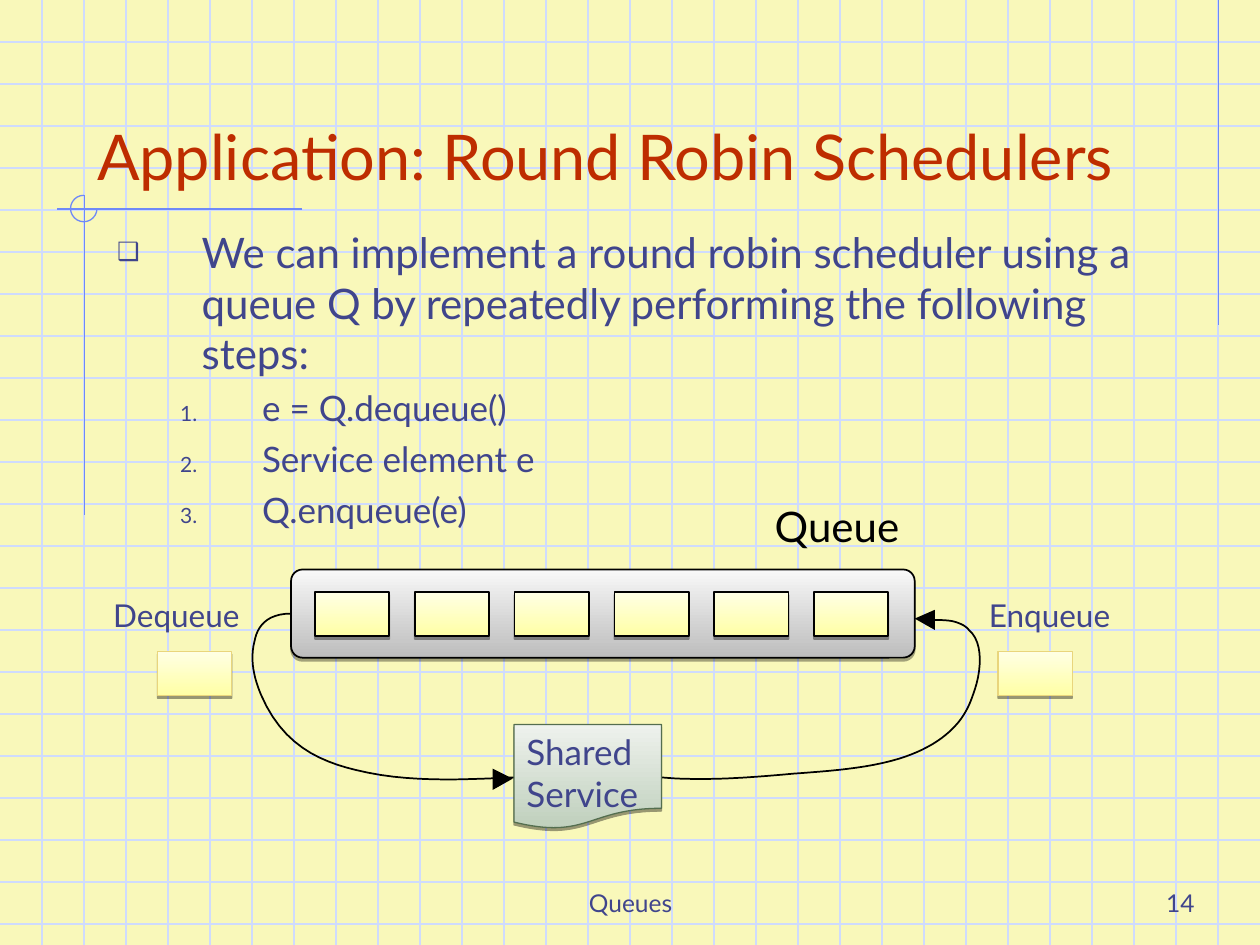
from lxml import etree
from pptx import Presentation
from pptx import util as u
from pptx.dml.color import RGBColor
from pptx.enum import shapes, text
from pptx.oxml.ns import qn

COLORS = {
    "paper": "F9F8BA", "grid": "CFDBFD", "accent": "6F89F7",
    "title": "BE2D00", "text": "40458C", "black": "000000",
    "card_line": "E9D57C", "service_line": "546E4F",
}
GRADIENTS = {
    "queue": ("BDBDBD", "F8F8F8"),
    "card": ("FFFFA5", "FFFFE4"),
    "service": ("BFCFBC", "EEF2ED"),
}
FONT = "Lato"
CARD_W, CARD_H = 0.59, 0.35
STEPS = ["e = Q.dequeue()", "Service element e", "Q.enqueue(e)"]
DEQUEUE_PATH = [
    (2.31, 4.87), (2.11, 4.87), (2.04, 4.98), (2.02, 5.09),
    (1.98, 5.24), (2.02, 5.39), (2.07, 5.51),
    (2.24, 5.91), (2.53, 6.04), (2.82, 6.11),
    (3.22, 6.21), (3.63, 6.19), (4.08, 6.17),
]
ENQUEUE_PATH = [
    (5.25, 6.17), (5.37, 6.18), (5.4, 6.18), (5.42, 6.18),
    (5.69, 6.19), (5.97, 6.17), (6.3, 6.14),
    (6.57, 6.12), (6.88, 6.1), (7.14, 6.02),
    (7.33, 5.96), (7.49, 5.87), (7.6, 5.74),
    (7.65, 5.68), (7.69, 5.61), (7.72, 5.52),
    (7.79, 5.34), (7.81, 5.1), (7.69, 5),
    (7.66, 4.96), (7.6, 4.94), (7.56, 4.93),
    (7.5, 4.92), (7.45, 4.92), (7.37, 4.92),
]


def rgb(name):
    return RGBColor.from_string(COLORS[name])


def inches(*values):
    return [u.Inches(v) for v in values]


def set_line(line, color, width):
    line.color.rgb = rgb(color)
    line.width = u.Pt(width)


def add_line(group, x1, y1, x2, y2, color):
    line = group.shapes.add_connector(
        shapes.MSO_CONNECTOR.STRAIGHT, *inches(x1, y1, x2, y2))
    set_line(line.line, color, 0.75)
    etree.SubElement(line.element.spPr, qn("a:effectLst"))


def add_grid(s):
    group = s.shapes.add_group_shape()
    for i in range(1, 23):
        add_line(group, 0, i / 3, 10, i / 3, "grid")
    for i in range(1, 30):
        add_line(group, i / 3, 0, i / 3, 7.5, "grid")
    add_line(group, 9.67, 0, 9.67, 2.58, "accent")
    add_line(group, 2.4, 1.66, 0.45, 1.66, "accent")
    add_line(group, 0.67, 1.55, 0.67, 4.09, "accent")
    arc = group.shapes.add_shape(
        shapes.MSO_SHAPE.ARC, *inches(0.56, 1.55, 0.21, 0.21))
    arc.adjustments[0] = 0
    arc.adjustments[1] = 162
    arc.fill.background()
    arc.shadow.inherit = False
    set_line(arc.line, "accent", 0.75)


def add_run(p, content, size, color):
    r = p.add_run()
    r.text = content
    formats = {"name": FONT, "size": u.Pt(size), "bold": False}
    for name, value in formats.items():
        setattr(r.font, name, value)
    r.font.color.rgb = rgb(color)


def set_frame(tf, **formats):
    for name, value in formats.items():
        setattr(tf, name, value)


def add_label(s, box, content, size, color, align="LEFT", **formats):
    sp = s.shapes.add_textbox(*inches(*box))
    set_frame(sp.text_frame, **{"word_wrap": True, **formats})
    p = sp.text_frame.paragraphs[0]
    p.alignment = text.PP_ALIGN[align]
    add_run(p, content, size, color)


def place(sp, box):
    sp.element.getparent().append(sp.element)
    sp.left, sp.top, sp.width, sp.height = inches(*box)


def add_title(s):
    title = s.shapes.title
    place(title, (0.67, 0.33, 8.5, 1.25))
    set_frame(title.text_frame, vertical_anchor=text.MSO_ANCHOR.BOTTOM,
              auto_size=text.MSO_AUTO_SIZE.NONE)
    p = title.text_frame.paragraphs[0]
    p.alignment = text.PP_ALIGN.LEFT
    add_run(p, "Application: Round Robin Schedulers", 36, "title")


def set_bullet(p, margin, indent, tag, **attributes):
    pPr = p._p.get_or_add_pPr()
    pPr.set("marL", str(u.Inches(margin)))
    pPr.set("indent", str(u.Inches(indent)))
    color = etree.SubElement(pPr, qn("a:buClr"))
    etree.SubElement(color, qn("a:srgbClr"), val=COLORS["text"])
    etree.SubElement(pPr, qn("a:buSzPct"), val="60000")
    etree.SubElement(pPr, qn(tag), **attributes)


def add_body(s):
    body = s.placeholders[1]
    place(body, (0.83, 1.75, 8.75, 2.67))
    tf = body.text_frame
    tf.auto_size = text.MSO_AUTO_SIZE.NONE
    p = tf.paragraphs[0]
    set_bullet(p, 0.67, -0.67, "a:buChar", char="❑")
    p.space_before = u.Pt(0)
    add_run(p, "We can implement a round robin scheduler using a queue Q "
               "by repeatedly performing the following steps:", 24, "text")
    for step in STEPS:
        p = tf.add_paragraph()
        p.level = 1
        set_bullet(p, 1.15, -0.65, "a:buAutoNum", type="arabicPeriod")
        p.space_before = u.Pt(5)
        add_run(p, step, 20, "text")


def add_block(s, kind, box, gradient, line, width, shadow=(38, 1.6)):
    sp = s.shapes.add_shape(kind, *inches(*box))
    sp.fill.gradient()
    sp.fill.gradient_angle = 90
    for stop, color in zip(sp.fill.gradient_stops, GRADIENTS[gradient]):
        stop.color.rgb = RGBColor.from_string(color)
    set_line(sp.line, line, width)
    sp.shadow.inherit = False
    alpha, distance = shadow
    effects = sp.element.spPr.find(qn("a:effectLst"))
    outer = etree.SubElement(effects, qn("a:outerShdw"), blurRad="0",
                             dist=str(u.Pt(distance)), dir="5400000",
                             rotWithShape="0")
    color = etree.SubElement(outer, qn("a:srgbClr"), val=COLORS["black"])
    etree.SubElement(color, qn("a:alpha"), val=str(alpha * 1000))
    return sp


def add_card(s, x, y, line, width):
    add_block(s, shapes.MSO_SHAPE.RECTANGLE, (x, y, CARD_W, CARD_H),
              "card", line, width)


def add_queue(s):
    queue = add_block(s, shapes.MSO_SHAPE.ROUNDED_RECTANGLE,
                      (2.31, 4.52, 4.95, 0.7), "queue", "black", 1, (35, 1.8))
    queue.adjustments[0] = 0.13
    for i in range(6):
        add_card(s, 2.5 + i * 0.792, 4.7, "black", 1)


def add_service(s):
    sp = add_block(s, shapes.MSO_SHAPE.FLOWCHART_DOCUMENT,
                   (4.08, 5.75, 1.17, 0.83), "service", "service_line", 0.75)
    set_frame(sp.text_frame, word_wrap=False,
              vertical_anchor=text.MSO_ANCHOR.TOP)
    p = sp.text_frame.paragraphs[0]
    p.alignment = text.PP_ALIGN.LEFT
    for i, word in enumerate(["Shared", "Service"]):
        if i:
            p.add_line_break()
        add_run(p, word, 20, "text")


def curve_points(path, steps=12):
    points = [path[0]]
    for i in range(0, len(path) - 1, 3):
        for n in range(1, steps + 1):
            t = n / steps
            weights = ((1 - t) ** 3, 3 * t * (1 - t) ** 2,
                       3 * t * t * (1 - t), t ** 3)
            points.append(tuple(
                sum(w * c[axis] for w, c in zip(weights, path[i:i + 4]))
                for axis in (0, 1)))
    return points


def add_outline(s, points, close):
    start, *rest = [inches(*point) for point in points]
    builder = s.shapes.build_freeform(*start)
    builder.add_line_segments(rest, close=close)
    sp = builder.convert_to_shape()
    sp.shadow.inherit = False
    return sp


def add_curved_arrow(s, path, head):
    curve = add_outline(s, curve_points(path), False)
    curve.fill.background()
    set_line(curve.line, "black", 1)
    arrow = add_outline(s, head, True)
    arrow.fill.solid()
    arrow.fill.fore_color.rgb = rgb("black")
    arrow.line.fill.background()


def main():
    prs = Presentation()
    prs.slide_width, prs.slide_height = inches(10, 7.5)
    s = prs.slides.add_slide(prs.slide_layouts[1])
    s.background.fill.solid()
    s.background.fill.fore_color.rgb = rgb("paper")
    add_grid(s)
    bottom = {"vertical_anchor": text.MSO_ANCHOR.BOTTOM}
    add_label(s, (3.42, 6.83, 3.17, 0.5), "Queues", 14, "text", "CENTER", **bottom)
    add_label(s, (7.5, 6.83, 2.08, 0.5), "14", 14, "text", "RIGHT", **bottom)
    add_title(s)
    add_body(s)
    add_queue(s)
    add_curved_arrow(s, DEQUEUE_PATH, [(3.91, 6.27), (4.07, 6.18), (3.91, 6.1)])
    add_curved_arrow(s, ENQUEUE_PATH, [(7.42, 5), (7.26, 4.91), (7.42, 4.84)])
    add_service(s)
    add_label(s, (6.05, 3.92, 1.25, 0.5), "Queue", 24, "black", word_wrap=False)
    add_label(s, (7.75, 4.68, 2.08, 0.4), "Enqueue", 18, "text")
    add_label(s, (0.17, 4.68, 1.83, 0.4), "Dequeue", 18, "text", "RIGHT")
    for x in (1.25, 7.92):
        add_card(s, x, 5.17, "card_line", 0.75)
    prs.save("out.pptx")


if __name__ == "__main__":
    main()
